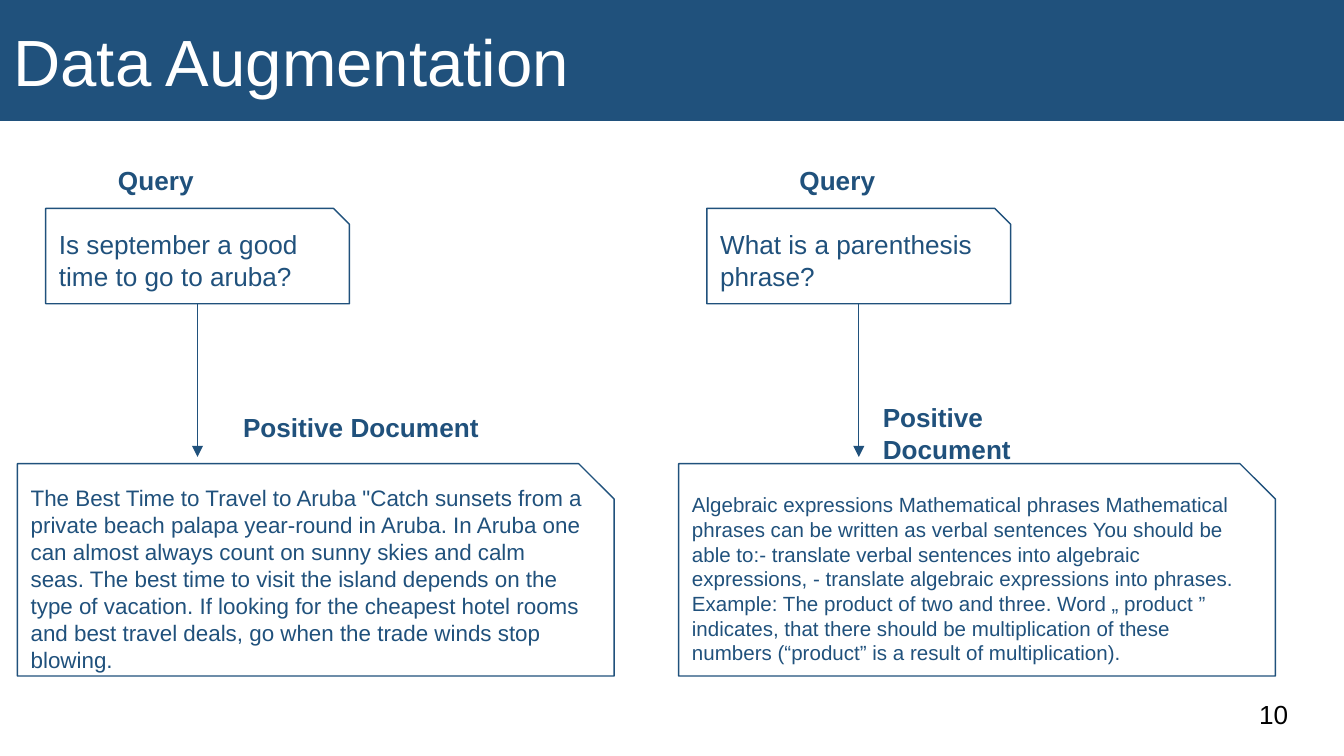
from dataclasses import dataclass

import pptx
import pptx.dml.color
import pptx.enum.shapes
import pptx.enum.text
import pptx.oxml
import pptx.oxml.ns
import pptx.util

Inches = pptx.util.Inches
Pt = pptx.util.Pt
RGBColor = pptx.dml.color.RGBColor
Anchor = pptx.enum.text.MSO_ANCHOR
Align = pptx.enum.text.PP_ALIGN

NAVY = RGBColor(0x20, 0x51, 0x7C)
WHITE = RGBColor(0xFF, 0xFF, 0xFF)
BLACK = RGBColor(0, 0, 0)
ARROW_END = 3.4


@dataclass
class Area:
    left: float
    top: float
    width: float
    height: float

    def lengths(self) -> list:
        return [Inches(v) for v in (self.left, self.top, self.width, self.height)]


@dataclass
class Example:
    left: float
    query: str
    document: str
    document_size: int
    query_label: Area
    document_label: Area


EXAMPLES = [
    Example(
        0.13,
        "Is september a good time to go to aruba?",
        'The Best Time to Travel to Aruba "Catch sunsets from a private beach '
        "palapa year-round in Aruba. In Aruba one can almost always count on "
        "sunny skies and calm seas. The best time to visit the island depends "
        "on the type of vacation. If looking for the cheapest hotel rooms and "
        "best travel deals, go when the trade winds stop blowing.",
        12,
        Area(0.78, 1.12, 0.8, 0.44),
        Area(1.71, 2.96, 2.01, 0.44),
    ),
    Example(
        5.05,
        "What is a parenthesis phrase?",
        "Algebraic expressions Mathematical phrases Mathematical phrases can be "
        "written as verbal sentences You should be able to:- translate verbal "
        "sentences into algebraic expressions, - translate algebraic expressions "
        "into phrases. Example: The product of two and three. Word „ product ” "
        "indicates, that there should be multiplication of these numbers "
        "(“product” is a result of multiplication).",
        11,
        Area(5.85, 1.12, 0.8, 0.44),
        Area(6.47, 2.89, 1.94, 0.44),
    ),
]


def write(shape, text: str, size: float, color: RGBColor = NAVY,
          bold: bool = False, anchor=Anchor.MIDDLE) -> None:
    frame = shape.text_frame
    inset = Inches(0.1)
    frame_format = {
        "word_wrap": True, "auto_size": pptx.enum.text.MSO_AUTO_SIZE.NONE,
        "vertical_anchor": anchor, "margin_left": inset, "margin_right": inset,
        "margin_top": inset, "margin_bottom": inset,
    }
    for name, value in frame_format.items():
        setattr(frame, name, value)
    para = frame.paragraphs[0]
    para.alignment = Align.LEFT
    span = para.add_run()
    span.text = text
    for name, value in {"name": "Arial", "size": Pt(size), "bold": bold}.items():
        setattr(span.font, name, value)
    span.font.color.rgb = color


def add_title(page, text: str) -> None:
    title = page.shapes.title
    title.left, title.top, title.width, title.height = Area(0, 0, 10, 0.9).lengths()
    title.fill.solid()
    title.fill.fore_color.rgb = NAVY
    write(title, text, 35, WHITE)


def add_label(page, area: Area, text: str, **text_format) -> None:
    write(page.shapes.add_textbox(*area.lengths()), text, 14, **text_format)


def add_card(page, area: Area, text: str, size: float):
    """Add a white box with one snipped corner."""
    kind = pptx.enum.shapes.MSO_SHAPE.SNIP_1_RECTANGLE
    card = page.shapes.add_shape(kind, *area.lengths())
    card.shadow.inherit = False
    card.adjustments[0] = 0.167
    card.fill.solid()
    card.fill.fore_color.rgb = WHITE
    card.line.color.rgb = NAVY
    card.line.width = Pt(0.75)
    write(card, text, size)
    return card


def add_arrow_below(page, card) -> None:
    middle = card.left + card.width // 2
    arrow = page.shapes.add_connector(
        pptx.enum.shapes.MSO_CONNECTOR.STRAIGHT,
        middle, card.top + card.height, middle, Inches(ARROW_END))
    arrow.begin_connect(card, 2)
    arrow.line.color.rgb = NAVY
    arrow.line.width = Pt(0.75)
    namespace = pptx.oxml.ns.nsdecls("a")
    outline = arrow.line._get_or_add_ln()
    outline.append(pptx.oxml.parse_xml(f'<a:tailEnd {namespace} type="triangle"/>'))
    arrow._element.spPr.append(pptx.oxml.parse_xml(f"<a:effectLst {namespace}/>"))


def add_example(page, example: Example) -> None:
    query = add_card(page, Area(example.left + 0.21, 1.55, 2.26, 0.71),
                     example.query, 14)
    add_card(page, Area(example.left, 3.45, 4.44, 1.58),
             example.document, example.document_size)
    add_arrow_below(page, query)
    heading = {"bold": True, "anchor": Anchor.TOP}
    add_label(page, example.document_label, "Positive Document", **heading)
    add_label(page, example.query_label, "Query", **heading)


def main() -> None:
    deck = pptx.Presentation()
    deck.slide_width = Inches(10)
    deck.slide_height = deck.slide_width * 9 // 16
    page = deck.slides.add_slide(deck.slide_layouts[5])
    add_title(page, "Data Augmentation")
    add_label(page, Area(9.27, 5.1, 0.6, 0.43), "10", color=BLACK)
    for example in EXAMPLES:
        add_example(page, example)
    deck.save("out.pptx")


if __name__ == "__main__":
    main()
